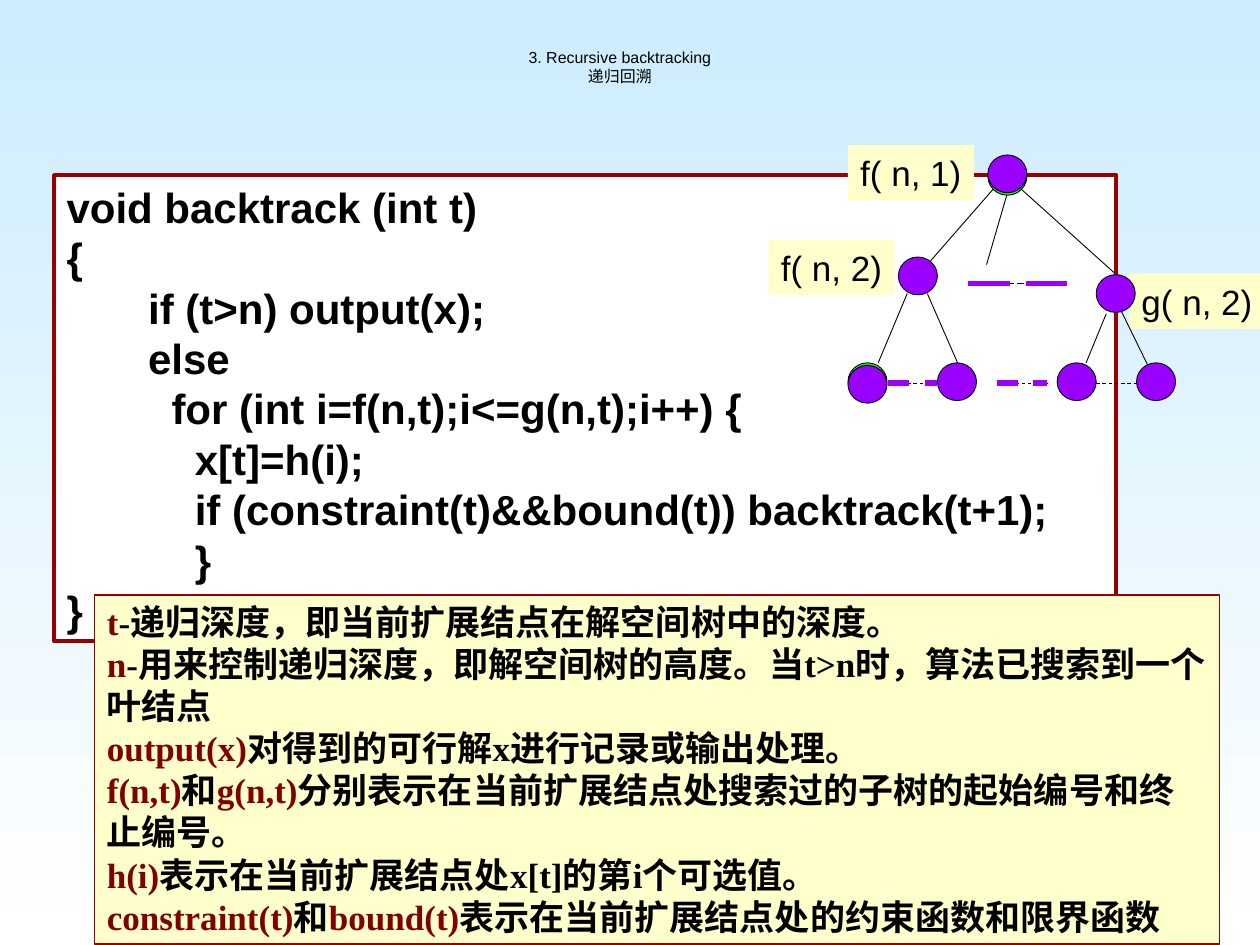
"""Build the slide on recursive backtracking with its code, notes and tree."""
from lxml.etree import SubElement
from pptx import Presentation
from pptx.dml.color import RGBColor
from pptx.enum.dml import MSO_LINE
from pptx.enum.shapes import MSO_CONNECTOR, MSO_SHAPE
from pptx.enum.text import MSO_ANCHOR, MSO_AUTO_SIZE, PP_ALIGN
from pptx.oxml.ns import qn
from pptx.util import Inches, Pt

COLORS = {
    "sky": "CCECFF", "white": "FFFFFF", "black": "000000", "frame": "990000",
    "cream": "FFFFCC", "term": "800000", "green": "00FF00", "node": "9900FF",
}
NODE_SIZE = (0.31, 0.3)
LEAF_Y = 3.04
SPACE_WIDTH = 0.0926

CODE = [
    (0, "void backtrack (int t)"),
    (0, "{"),
    (7, "if (t>n) output(x);"),
    (7, "else"),
    (9, "for (int i=f(n,t);i<=g(n,t);i++) {"),
    (11, "x[t]=h(i);"),
    (11, "if (constraint(t)&&bound(t)) backtrack(t+1);"),
    (11, "}"),
    (0, "}"),
]
TERM = {"color": "term"}
NOTES = [
    [("t", TERM), ("-递归深度，即当前扩展结点在解空间树中的深度。", {})],
    [("n", TERM), ("-用来控制递归深度，即解空间树的高度。当t>n时，算法已搜索到一个叶结点", {})],
    [("output(x)", TERM), ("对得到的可行解x进行记录或输出处理。", {})],
    [("f(n,t)", TERM), ("和", {}), ("g(n,t)", TERM),
     ("分别表示在当前扩展结点处搜索过的子树的起始编号和终止编号。", {})],
    [("h(i)", TERM), ("表示在当前扩展结点处x[t]的第i个可选值。", {})],
    [("constraint(t)", TERM), ("和", {}), ("bound(t)", TERM),
     ("表示在当前扩展结点处的约束函数和限界", {}), ("函数", {"font": "Comic Neue"})],
]
LABELS = [
    ("f( n, 1)", (6.73, 1.15, 1, 0.44)),
    ("f( n, 2)", (6.1, 1.9, 1, 0.44)),
    ("g( n, 2)", (8.96, 2.17, 1.08, 0.44)),
]
EDGES = [
    (7.91, 1.47, 7.36, 2.1), (8.07, 1.47, 8.86, 2.18), (7.99, 1.55, 7.83, 2.1),
    (7.2, 2.33, 6.97, 2.88), (7.36, 2.33, 7.6, 2.88),
    (8.78, 2.49, 8.62, 2.88), (8.88, 2.43, 9.11, 2.9),
]
CHILD_GAP = (7.68, 2.25, 8.47, 2.25)
LEAF_GAPS = [(left, LEAF_Y, right, LEAF_Y)
             for left, right in ((7.05, 7.44), (7.91, 8.31), (8.7, 9.1))]
HIDDEN_NODES = [(7.84, 1.25), (6.73, 2.88)]
NODES = [(7.84, 1.23), (7.13, 2.04), (8.7, 2.18),
         (6.73, 2.9), (7.44, 2.88), (8.39, 2.88), (9.02, 2.88)]


def rgb(name):
    """Return the named colour."""
    return RGBColor.from_string(COLORS[name])


def write(shape, paragraphs, size, font="Arial", color="black", bold=False,
          align=PP_ALIGN.LEFT, anchor=MSO_ANCHOR.TOP, wrap=True, indents=()):
    """Fill a shape with paragraphs, each a list of (text, overrides) runs."""
    frame = shape.text_frame
    frame.auto_size = MSO_AUTO_SIZE.NONE
    frame.word_wrap = wrap
    frame.vertical_anchor = anchor
    for index, runs in enumerate(paragraphs):
        paragraph = frame.add_paragraph() if index else frame.paragraphs[0]
        paragraph.alignment = align
        paragraph.line_spacing = Pt(round(size * 1.2, 1))
        paragraph.space_before = Pt(0)
        if indents:
            margin = Inches(indents[index] * SPACE_WIDTH)
            paragraph._p.get_or_add_pPr().set("marL", str(margin))
        for text, override in runs:
            run = paragraph.add_run()
            run.text = text
            run.font.size = Pt(size)
            run.font.bold = bold
            run.font.name = override.get("font", font)
            run.font.color.rgb = rgb(override.get("color", color))


def add_panel(slide, kind, box, fill, line=None, width=0.5):
    """Add a filled preset shape, outlined if a line colour is given."""
    panel = slide.shapes.add_shape(kind, *map(Inches, box))
    panel.shadow.inherit = False
    panel.fill.solid()
    panel.fill.fore_color.rgb = rgb(fill)
    if line:
        panel.line.color.rgb = rgb(line)
        panel.line.width = Pt(width)
    else:
        panel.line.fill.background()
    return panel


def add_line(slide, ends, color="black", width=0.5, dash=None):
    """Add a straight connector between two points."""
    line = slide.shapes.add_connector(MSO_CONNECTOR.STRAIGHT, *map(Inches, ends))
    line.line.color.rgb = rgb(color)
    line.line.width = Pt(width)
    if dash:
        line.line.dash_style = dash
    SubElement(line._element.spPr, qn("a:effectLst"))


def paint_background(slide):
    """Fade the background from sky blue down to white."""
    fill = slide.background.fill
    fill.gradient()
    fill.gradient_angle = 270
    for stop, name, position in zip(fill.gradient_stops, ("sky", "white"), (0, 1)):
        stop.color.rgb = rgb(name)
        stop.position = position


def add_title(slide):
    """Set the bilingual title in the title placeholder."""
    title = slide.shapes.title
    title.left, title.top, title.width, title.height = map(
        Inches, (0.67, 0.31, 8.5, 0.44))
    write(title, [[("3. Recursive backtracking", {})], [("递归回溯", {})]], 9.1,
          align=PP_ALIGN.CENTER, anchor=MSO_ANCHOR.MIDDLE)


def add_tree(slide):
    """Draw the search tree with its labels, edges, gaps and nodes."""
    for text, box in LABELS:
        label = add_panel(slide, MSO_SHAPE.RECTANGLE, box, "cream")
        write(label, [[(text, {})]], 20, align=PP_ALIGN.CENTER,
              anchor=MSO_ANCHOR.MIDDLE, wrap=False)
    for ends in EDGES:
        add_line(slide, ends)
    for color, width, leaf_gaps in (("black", 0.5, LEAF_GAPS),
                                    ("node", 3, LEAF_GAPS[:2])):
        add_line(slide, CHILD_GAP, color, width, MSO_LINE.LONG_DASH)
        for ends in leaf_gaps:
            add_line(slide, ends, color, width, MSO_LINE.DASH)
    for fill, corners in (("green", HIDDEN_NODES), ("node", NODES)):
        for corner in corners:
            add_panel(slide, MSO_SHAPE.OVAL, corner + NODE_SIZE, fill, "black")


def main():
    """Build and save the slide."""
    deck = Presentation()
    deck.slide_width, deck.slide_height = Inches(10), Inches(7.5)
    slide = deck.slides.add_slide(deck.slide_layouts[5])
    paint_background(slide)
    add_title(slide)
    code = add_panel(slide, MSO_SHAPE.RECTANGLE, (0.43, 1.39, 8.43, 3.7),
                     "white", "frame", 2.25)
    write(code, [[(text, {})] for _, text in CODE], 24, bold=True,
          indents=[spaces for spaces, _ in CODE])
    notes = add_panel(slide, MSO_SHAPE.RECTANGLE, (0.75, 4.72, 8.93, 2.77),
                      "cream", "frame", 1)
    write(notes, NOTES, 20, font="Times New Roman", bold=True)
    add_tree(slide)
    deck.save("out.pptx")


if __name__ == "__main__":
    main()
